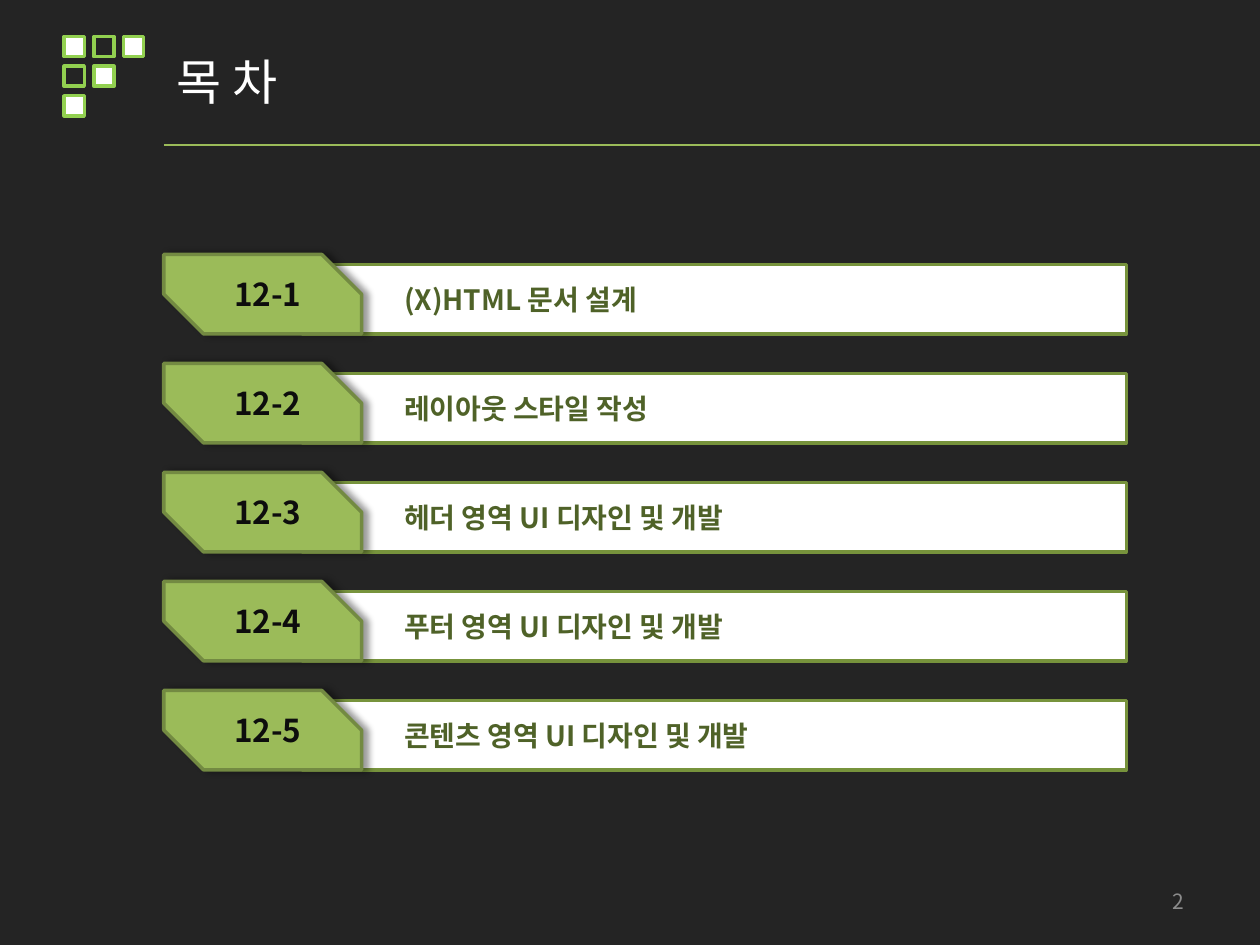
"""Builds the dark table-of-contents slide with five numbered chapter bars."""
from dataclasses import dataclass

from lxml.etree import SubElement
from pptx import Presentation
from pptx.dml.color import RGBColor
from pptx.enum.shapes import MSO_CONNECTOR, MSO_SHAPE
from pptx.enum.text import MSO_ANCHOR, PP_ALIGN
from pptx.oxml.ns import qn
from pptx.util import Inches, Pt

FONT = "Noto Sans CJK KR"
GREEN, WHITE = "9BBB59", "FFFFFF"
LEFT, TOP, PITCH = 1.3, 2.02, 0.865
LOGO_LEFT, LOGO_TOP, LOGO_PITCH, LOGO_SIZE = 0.51, 0.29, 0.235, 0.16


@dataclass
class Chapter:
    number: str
    title: str


@dataclass
class Square:
    col: int
    row: int
    filled: bool


CHAPTERS = [
    Chapter("12-1", "(X)HTML 문서 설계"),
    Chapter("12-2", "레이아웃 스타일 작성"),
    Chapter("12-3", "헤더 영역 UI 디자인 및 개발"),
    Chapter("12-4", "푸터 영역 UI 디자인 및 개발"),
    Chapter("12-5", "콘텐츠 영역 UI 디자인 및 개발"),
]
SQUARES = [Square(col, row, (col + row) % 2 == 0 or row == 2)
           for row in range(3) for col in range(3 - row)]


def rgb(value: str) -> RGBColor:
    return RGBColor.from_string(value)


def write(sp, text: str, size: float, color: str, bold: bool = False,
          align=PP_ALIGN.LEFT) -> None:
    tf = sp.text_frame
    tf.text = text
    tf.word_wrap = True
    tf.vertical_anchor = MSO_ANCHOR.MIDDLE
    p = tf.paragraphs[0]
    p.alignment = align
    r = p.runs[0]
    r.font.name, r.font.size, r.font.bold = FONT, Pt(size), bold
    r.font.color.rgb = rgb(color)
    SubElement(r.font._element, qn("a:ea"), typeface=FONT)


def add_text(s, box: tuple, *args, **kwargs) -> None:
    write(s.shapes.add_textbox(*map(Inches, box)), *args, **kwargs)


def add_box(s, kind, box: tuple, fill: str | None, line: str):
    sp = s.shapes.add_shape(kind, *map(Inches, box))
    sp.shadow.inherit = False
    if fill:
        sp.fill.solid()
        sp.fill.fore_color.rgb = rgb(fill)
    else:
        sp.fill.background()
    sp.line.color.rgb = rgb(line)
    sp.line.width = Pt(2)
    return sp


def add_shadow(sp) -> None:
    effects = sp._element.spPr.find(qn("a:effectLst"))
    shadow = SubElement(effects, qn("a:outerShdw"), blurRad=str(Pt(4)),
                        dist=str(Pt(3)), dir="0", algn="l", rotWithShape="0")
    color = SubElement(shadow, qn("a:srgbClr"), val="000000")
    SubElement(color, qn("a:alpha"), val="40000")


def add_square(s, square: Square) -> None:
    box = (LOGO_LEFT + square.col * LOGO_PITCH,
           LOGO_TOP + square.row * LOGO_PITCH, LOGO_SIZE, LOGO_SIZE)
    add_box(s, MSO_SHAPE.RECTANGLE, box, WHITE if square.filled else None, "92D050")


def add_chapter(s, row: int, chapter: Chapter) -> None:
    top = TOP + row * PITCH
    add_box(s, MSO_SHAPE.RECTANGLE, (2.4, top + 0.08, 6.54, 0.55), WHITE, "77933C")
    tag = add_box(s, MSO_SHAPE.SNIP_2_DIAG_RECTANGLE, (LEFT, top, 1.57, 0.63),
                  GREEN, "738A42")
    tag.adjustments[0], tag.adjustments[1] = 0, 0.5
    add_shadow(tag)
    add_text(s, (3.11, top + 0.16, 5.59, 0.39), chapter.title, 16, "4F6228", bold=True)
    add_text(s, (1.69, top + 0.12, 0.87, 0.39), chapter.number, 18, "0D0D0D",
             bold=True, align=PP_ALIGN.CENTER)


def add_rule(s, y: float, right: int) -> None:
    line = s.shapes.add_connector(MSO_CONNECTOR.STRAIGHT, Inches(LEFT), Inches(y),
                                  right, Inches(y))
    line.line.color.rgb = rgb(GREEN)
    line.line.width = Pt(1.25)
    SubElement(line._element.spPr, qn("a:effectLst"))


def main() -> None:
    prs = Presentation()
    prs.slide_width, prs.slide_height = Inches(10), Inches(7.5)
    s = prs.slides.add_slide(prs.slide_layouts[5])
    s.background.fill.solid()
    s.background.fill.fore_color.rgb = rgb("242424")

    title = s.shapes.title
    title.left, title.top, title.width, title.height = map(
        Inches, (LEFT, 0.22, 8.66, 0.85))
    write(title, "목 차", 28, WHITE)
    for square in SQUARES:
        add_square(s, square)
    add_rule(s, 1.15, prs.slide_width)
    for row, chapter in enumerate(CHAPTERS):
        add_chapter(s, row, chapter)
    add_text(s, (7.17, 6.95, 2.33, 0.4), "2", 12, "8C8C8C", align=PP_ALIGN.RIGHT)
    prs.save("out.pptx")


if __name__ == "__main__":
    main()
